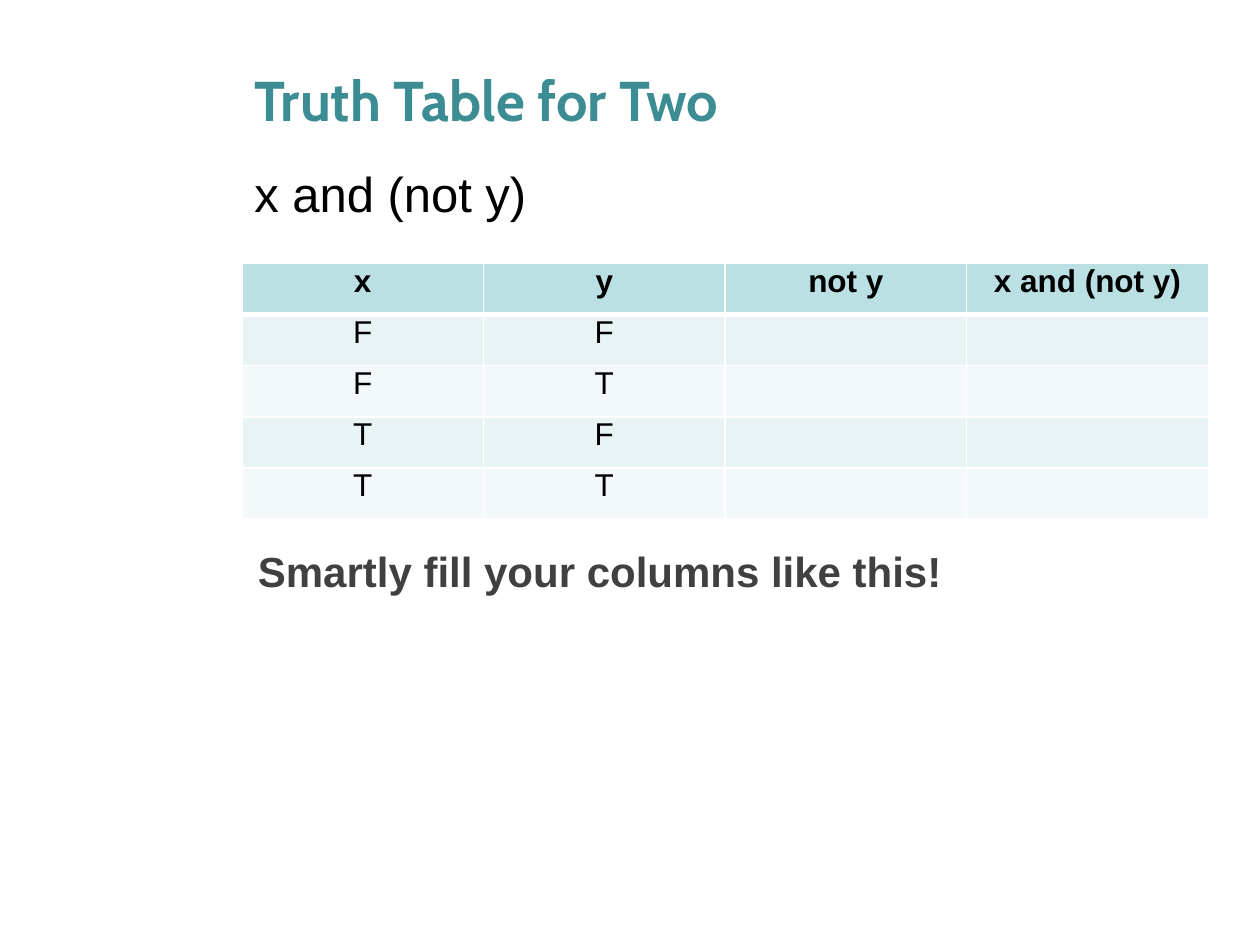
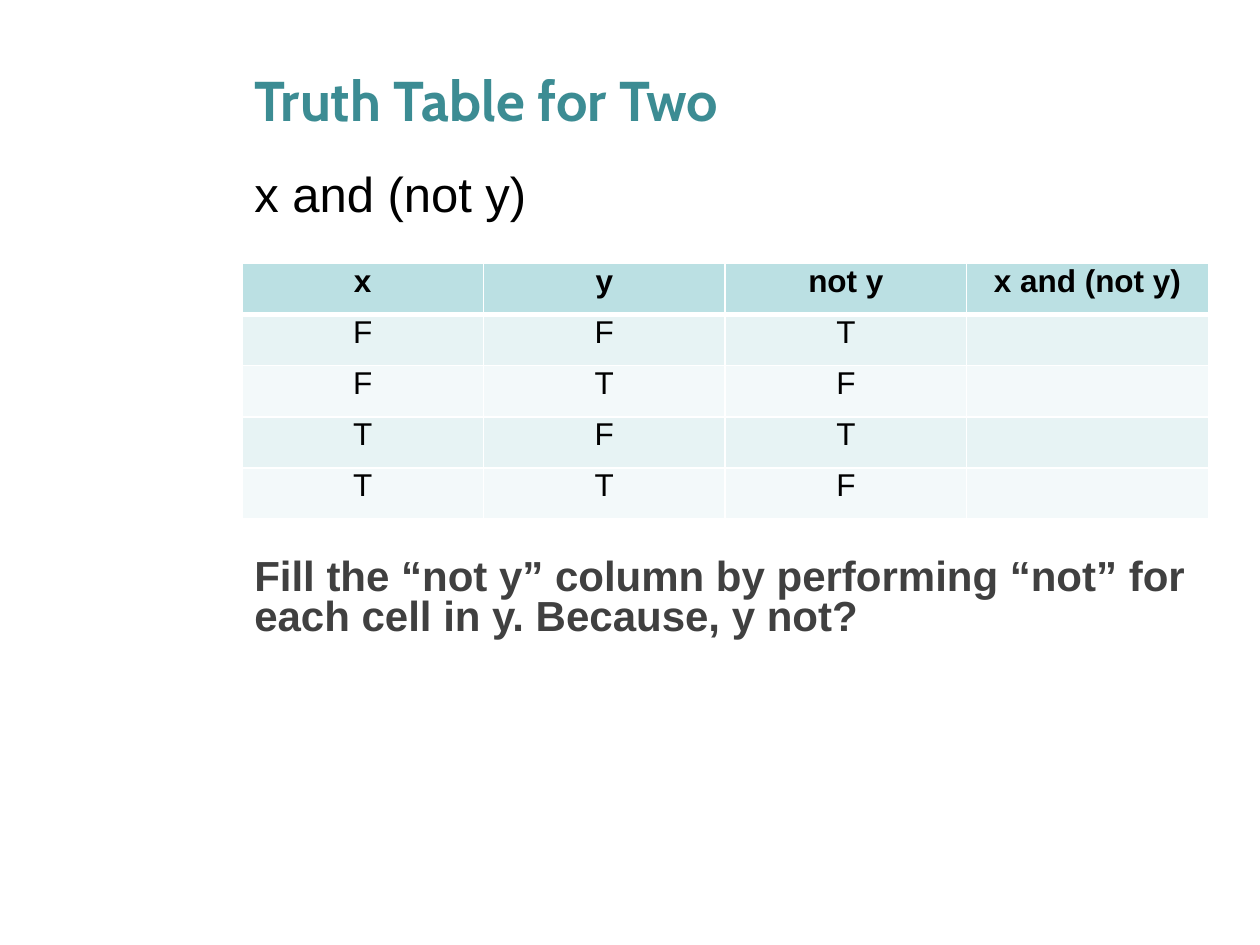
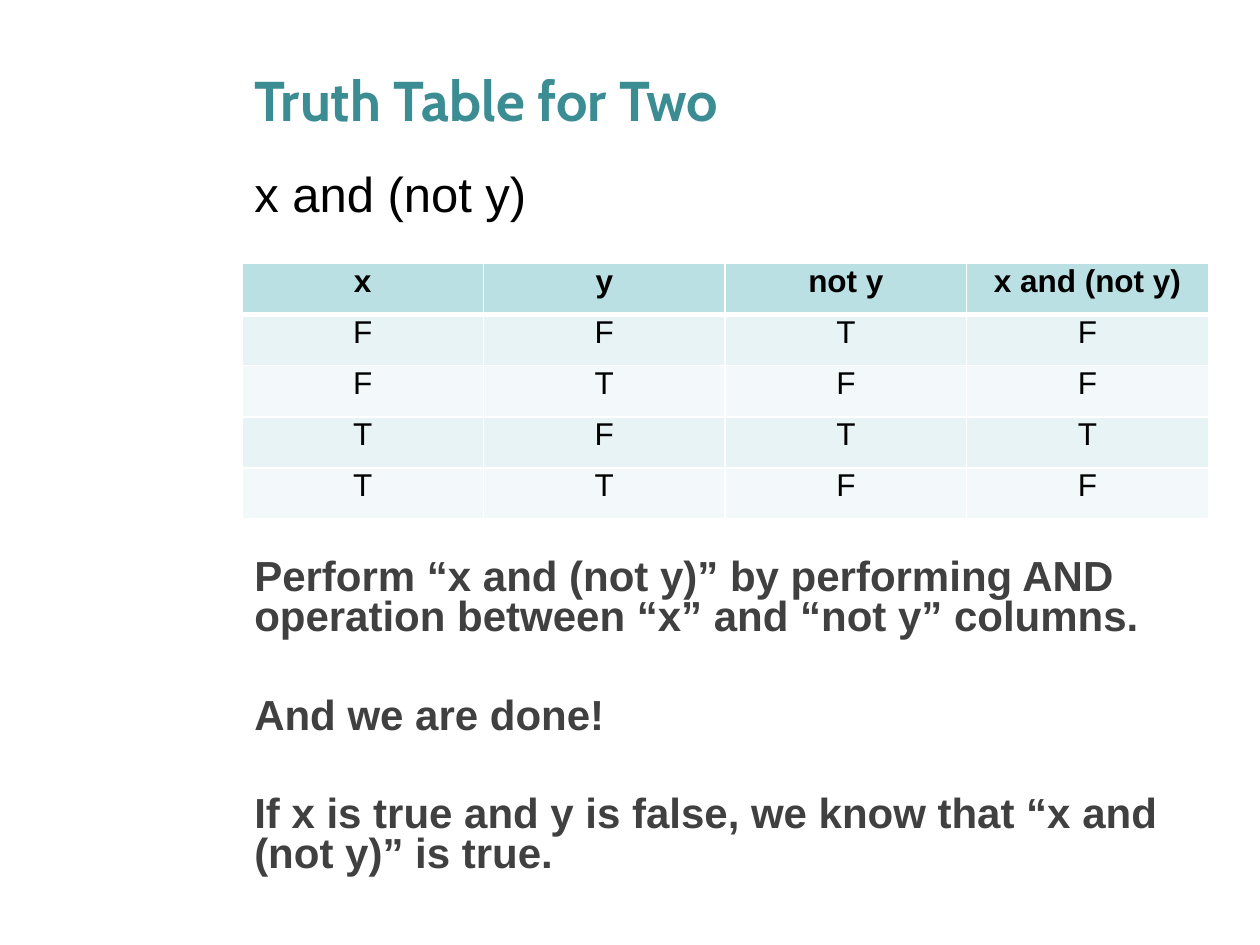
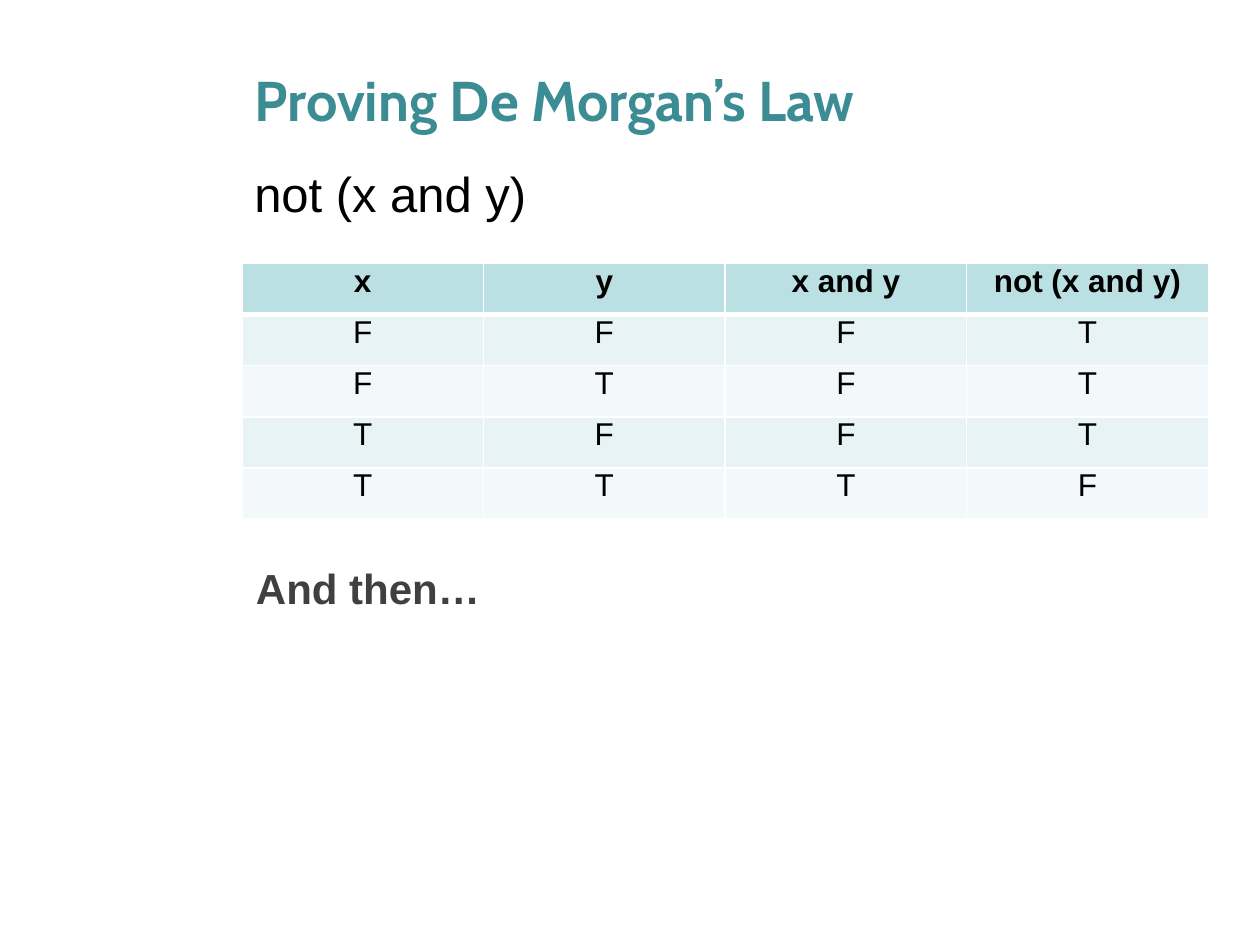
from itertools import product

from lxml import etree
from pptx import Presentation
from pptx.dml.color import RGBColor
from pptx.enum.text import MSO_ANCHOR, MSO_AUTO_SIZE, PP_ALIGN
from pptx.oxml.ns import qn
from pptx.util import Inches, Pt

LEFT, CENTER = PP_ALIGN.LEFT, PP_ALIGN.CENTER
MIDDLE = MSO_ANCHOR.MIDDLE
NO_RESIZE, GROW = MSO_AUTO_SIZE.NONE, MSO_AUTO_SIZE.SHAPE_TO_FIT_TEXT

TEAL = RGBColor(0x3C, 0x8C, 0x93)
BLACK = RGBColor(0x00, 0x00, 0x00)
WHITE = RGBColor(0xFF, 0xFF, 0xFF)
DARK_GRAY = RGBColor(0x40, 0x40, 0x40)
HEADER_FILL = RGBColor(0xBB, 0xE0, 0xE3)
BAND_FILLS = (RGBColor(0xE7, 0xF3, 0xF4), RGBColor(0xF3, 0xF9, 0xFA))

CONTENT_LEFT = Inches(1.92)
CONTENT_WIDTH = Inches(7.67)
TITLE_ONLY_LAYOUT = 5


def write_text(paragraph, text, *, size, color=BLACK, font="Arial", bold=False,
               align=LEFT, line_spacing=1.0, space_before=0):
    paragraph.alignment = align
    paragraph.line_spacing = line_spacing
    paragraph.space_before = Pt(space_before)
    run = paragraph.add_run()
    run.text = text
    run.font.name = font
    run.font.size = Pt(size)
    run.font.bold = bold
    run.font.color.rgb = color


def set_borders(cell, bottom_width):
    properties = cell._tc.get_or_add_tcPr()
    widths = {"a:lnL": 1, "a:lnR": 1, "a:lnT": 1, "a:lnB": bottom_width}
    for position, (tag, width) in enumerate(widths.items()):
        line = etree.Element(qn(tag), w=str(Pt(width)))
        fill = etree.SubElement(line, qn("a:solidFill"))
        etree.SubElement(fill, qn("a:srgbClr"), val=str(WHITE))
        properties.insert(position, line)


class TruthTableDeck:
    def __init__(self):
        self.presentation = Presentation()
        self.presentation.slide_width = Inches(10)
        self.presentation.slide_height = Inches(7.5)
        self.slide = None

    def add_slide(self, title, expression):
        layout = self.presentation.slide_layouts[TITLE_ONLY_LAYOUT]
        self.slide = self.presentation.slides.add_slide(layout)
        shape = self.slide.shapes.title
        shape.left, shape.top = CONTENT_LEFT, Inches(0.33)
        shape.width, shape.height = CONTENT_WIDTH, Inches(0.92)
        shape.text_frame.vertical_anchor = MIDDLE
        shape.text_frame.auto_size = NO_RESIZE
        write_text(shape.text_frame.paragraphs[0], title,
                   size=32, color=TEAL, font="Cabin", bold=True)
        frame = self.add_text_frame(1.25, CONTENT_WIDTH, 0.71)
        write_text(frame.paragraphs[0], expression, size=28, space_before=14)

    def add_text_frame(self, top, width, height):
        box = self.slide.shapes.add_textbox(
            CONTENT_LEFT, Inches(top), width, Inches(height))
        box.text_frame.word_wrap = True
        return box.text_frame

    def add_truth_table(self, headers, rules):
        inputs = list(product((False, True), repeat=2))
        columns = [[x for x, y in inputs], [y for x, y in inputs]]
        columns += [[rule(x, y) for x, y in inputs] for rule in rules]
        rows = [headers]
        for index in range(len(inputs)):
            letters = ["T" if column[index] else "F" for column in columns]
            rows.append(letters + [""] * (len(headers) - len(letters)))

        table = self.slide.shapes.add_table(
            len(rows), len(headers), CONTENT_LEFT, Inches(2.09),
            CONTENT_WIDTH, Inches(2.03)).table
        table.horz_banding = False
        for row_index, row in enumerate(rows):
            is_header = row_index == 0
            for column_index, text in enumerate(row):
                cell = table.cell(row_index, column_index)
                cell.fill.solid()
                cell.fill.fore_color.rgb = (
                    HEADER_FILL if is_header else BAND_FILLS[(row_index - 1) % 2])
                set_borders(cell, 3 if is_header else 1)
                if text:
                    write_text(cell.text_frame.paragraphs[0], text, size=18,
                               bold=is_header, align=CENTER,
                               line_spacing=0.8, space_before=3.6)

    def add_remark(self, paragraphs, top, height, width=CONTENT_WIDTH,
                   single_line=False):
        frame = self.add_text_frame(top, width, height)
        frame.word_wrap = not single_line
        frame.auto_size = GROW
        for index, text in enumerate(paragraphs):
            paragraph = frame.add_paragraph() if index else frame.paragraphs[0]
            write_text(paragraph, text, size=24, color=DARK_GRAY, bold=True,
                       align=CENTER if single_line else LEFT,
                       line_spacing=0.8, space_before=33 if index else 4.8)


def not_y(x, y):
    return not y


def x_and_not_y(x, y):
    return x and not y


def x_and_y(x, y):
    return x and y


def not_x_and_y(x, y):
    return not (x and y)


def main():
    deck = TruthTableDeck()
    steps = (
        ([], dict(paragraphs=["Smartly fill your columns like this!"], top=4.36,
                  height=0.42, width=Inches(5.68), single_line=True)),
        ([not_y], dict(paragraphs=[
            "Fill the “not y” column by performing “not” for each cell in y. "
            "Because, y not?"], top=4.39, height=0.75)),
        ([not_y, x_and_not_y], dict(paragraphs=[
            "Perform “x and (not y)” by performing AND operation between “x” "
            "and “not y” columns.",
            "And we are done!",
            "If x is true and y is false, we know that “x and (not y)” is true.",
        ], top=4.39, height=2.69)),
    )
    for rules, remark in steps:
        deck.add_slide("Truth Table for Two", "x and (not y)")
        deck.add_truth_table(["x", "y", "not y", "x and (not y)"], rules)
        deck.add_remark(**remark)

    deck.add_slide("Proving De Morgan’s Law", "not (x and y)")
    deck.add_truth_table(["x", "y", "x and y", "not (x and y)"],
                         [x_and_y, not_x_and_y])
    deck.add_remark(["And then…"], top=4.49, height=0.42, width=Inches(2),
                    single_line=True)
    deck.presentation.save("out.pptx")


if __name__ == "__main__":
    main()
